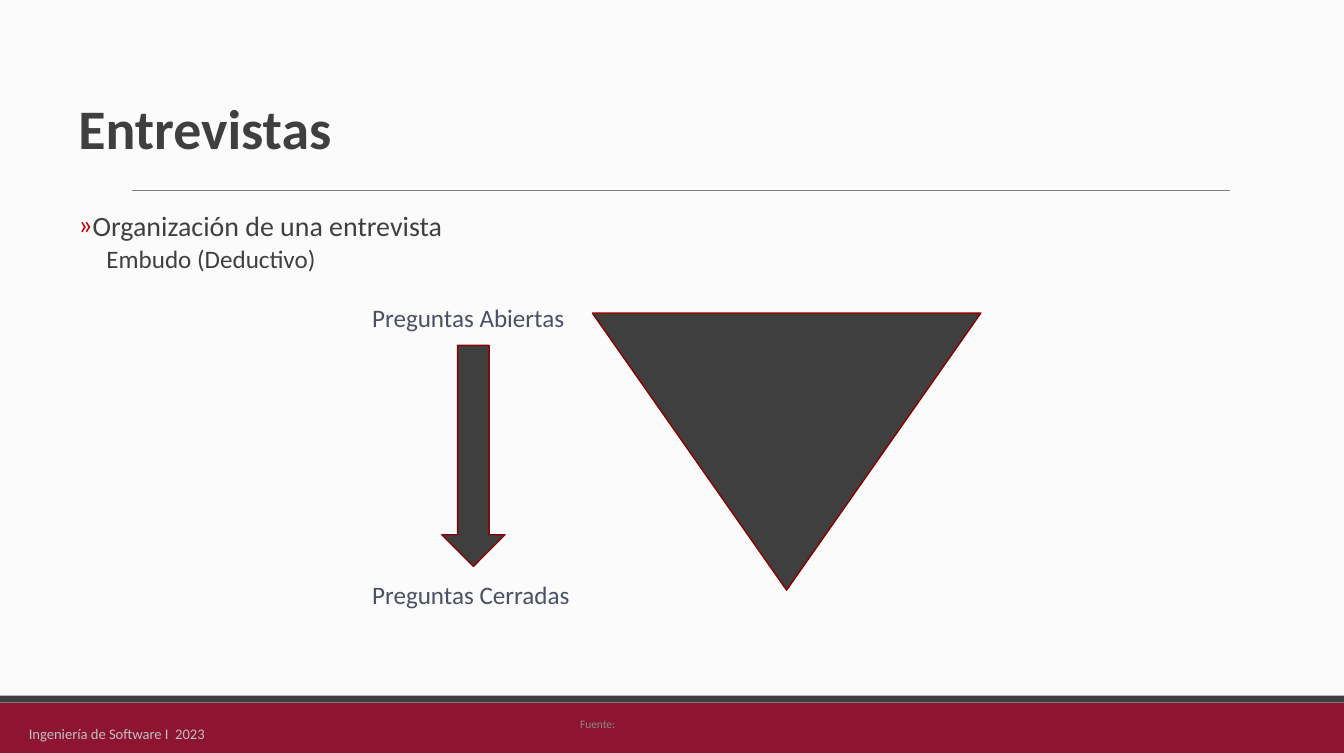
from dataclasses import dataclass

from lxml import etree
from pptx import Presentation
from pptx.dml.color import RGBColor
from pptx.enum.shapes import MSO_CONNECTOR, MSO_SHAPE
from pptx.enum.text import MSO_ANCHOR, MSO_AUTO_SIZE, PP_ALIGN
from pptx.oxml.ns import qn
from pptx.util import Cm, Pt

RECT, TRIANGLE, DOWN_ARROW = MSO_SHAPE.RECTANGLE, MSO_SHAPE.ISOSCELES_TRIANGLE, MSO_SHAPE.DOWN_ARROW
STRAIGHT = MSO_CONNECTOR.STRAIGHT
TOP, MIDDLE = MSO_ANCHOR.TOP, MSO_ANCHOR.MIDDLE
LEFT, NO_FIT = PP_ALIGN.LEFT, MSO_AUTO_SIZE.NONE

FONT = "Calibri"
WIDTH, HEIGHT = 34.01, 19.05
COLORS = {
    "background": "FBFBFB", "wine": "8D1532", "dark": "3F3F3F", "rule": "7F7F7F",
    "outline": "8C0000", "bullet": "C00000", "label": "4B5064",
    "source": "888888", "course": "BFBFBF",
}


@dataclass
class Figure:
    kind: int
    box: tuple[float, float, float, float]
    fill: str
    line: str | None = None
    rotation: float = 0


@dataclass
class Label:
    text: str
    box: tuple[float, float, float, float]
    size: float
    color: str


FIGURES = [
    Figure(RECT, (0, 17.78, WIDTH, 1.27), "wine"),
    Figure(RECT, (0, 17.6, WIDTH, 0.18), "dark"),
    Figure(TRIANGLE, (14.99, 7.92, 9.83, 7.01), "dark", "outline", 180),
    Figure(DOWN_ARROW, (11.18, 8.74, 1.6, 5.59), "dark", "outline"),
]
LABELS = [
    Label("Fuente:", (14.43, 18.01, 1.85, 0.61), 8.2, "source"),
    Label("Ingeniería de Software I  2023", (0.48, 18.21, 6.02, 0.58), 10.5, "course"),
    Label("Preguntas Abiertas", (9.17, 7.52, 5.6, 1.8), 18, "label"),
    Label("Preguntas Cerradas", (9.17, 14.53, 5.6, 1.8), 18, "label"),
]


def rgb(name: str) -> RGBColor:
    return RGBColor.from_string(COLORS[name])


def place(sp, box: tuple[float, float, float, float]) -> None:
    sp.left, sp.top, sp.width, sp.height = (Cm(v) for v in box)


def setup_frame(sp, anchor=TOP):
    tf = sp.text_frame
    tf.word_wrap = True
    tf.auto_size = NO_FIT
    tf.vertical_anchor = anchor
    return tf


def write(p, text: str, *, size: float, color: str, bold: bool = False,
          spacing: float = 1.0, before: float = 0) -> None:
    p.alignment = LEFT
    p.line_spacing = spacing
    p.space_before = Pt(before)
    r = p.add_run()
    r.text = text
    r.font.name, r.font.size, r.font.bold = FONT, Pt(size), bold
    r.font.color.rgb = rgb(color)


def set_bullet(p, margin: float, indent: float, char: str | None = None) -> None:
    pPr = p._p.get_or_add_pPr()
    pPr.set("marL", str(Cm(margin)))
    pPr.set("indent", str(Cm(indent)))
    if char is None:
        etree.SubElement(pPr, qn("a:buNone"))
        return
    color = etree.SubElement(pPr, qn("a:buClr"))
    etree.SubElement(color, qn("a:srgbClr"), val=COLORS["bullet"])
    etree.SubElement(pPr, qn("a:buFont"), typeface=FONT)
    etree.SubElement(pPr, qn("a:buChar"), char=char)


def add_figure(s, figure: Figure) -> None:
    sp = s.shapes.add_shape(figure.kind, *(Cm(v) for v in figure.box))
    sp.shadow.inherit = False
    sp.rotation = figure.rotation
    sp.fill.solid()
    sp.fill.fore_color.rgb = rgb(figure.fill)
    if figure.line:
        sp.line.color.rgb = rgb(figure.line)
        sp.line.width = Pt(1)
    else:
        sp.line.fill.background()


def add_label(s, label: Label) -> None:
    sp = s.shapes.add_textbox(*(Cm(v) for v in label.box))
    write(setup_frame(sp).paragraphs[0], label.text, size=label.size, color=label.color)


def add_rule(s, x1: float, x2: float, y: float) -> None:
    rule = s.shapes.add_connector(STRAIGHT, Cm(x1), Cm(y), Cm(x2), Cm(y))
    rule.line.color.rgb = rgb("rule")
    rule.line.width = Pt(0.75)
    etree.SubElement(rule._element.spPr, qn("a:effectLst"))


def main() -> None:
    prs = Presentation()
    prs.slide_width, prs.slide_height = Cm(WIDTH), Cm(HEIGHT)
    s = prs.slides.add_slide(prs.slide_layouts[1])
    s.background.fill.solid()
    s.background.fill.fore_color.rgb = rgb("background")

    # Title
    title = s.shapes.title
    place(title, (1.73, 1.78, 30.05, 3.15))
    write(setup_frame(title, MIDDLE).paragraphs[0], "Entrevistas",
          size=40, color="dark", bold=True, spacing=0.85)

    # List
    body = s.placeholders[1]
    place(body, (1.73, 5.28, 27.3, 12.3))
    tf = setup_frame(body)
    p = tf.paragraphs[0]
    set_bullet(p, 0.18, -0.3, "»")
    write(p, "Organización de una entrevista", size=20, color="dark", spacing=0.85)
    p = tf.add_paragraph()
    p.level = 1
    set_bullet(p, 0.71, 0)
    write(p, "Embudo (Deductivo)", size=18, color="dark", spacing=0.85, before=4.5)

    # Rule, footer bars, funnel and labels
    add_rule(s, 3.33, 31.12, 4.83)
    for figure in FIGURES:
        add_figure(s, figure)
    for label in LABELS:
        add_label(s, label)

    prs.save("out.pptx")


if __name__ == "__main__":
    main()
